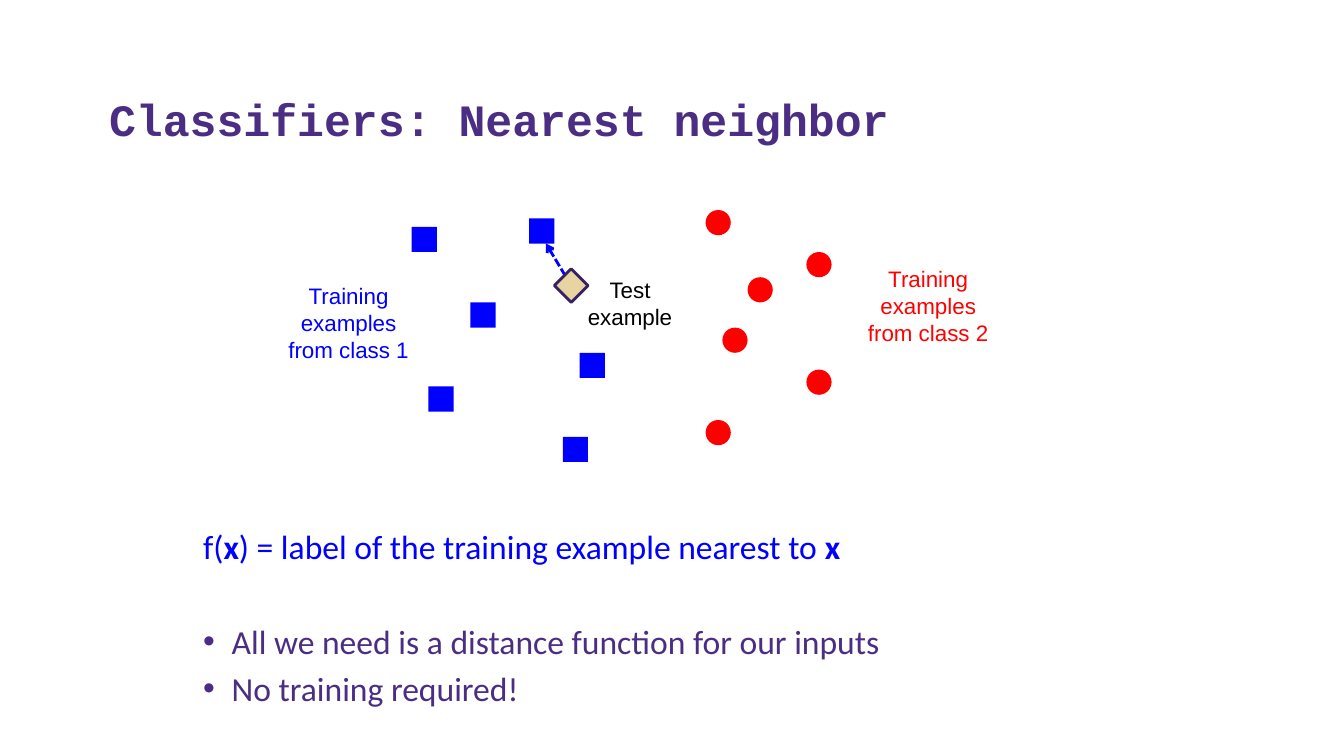
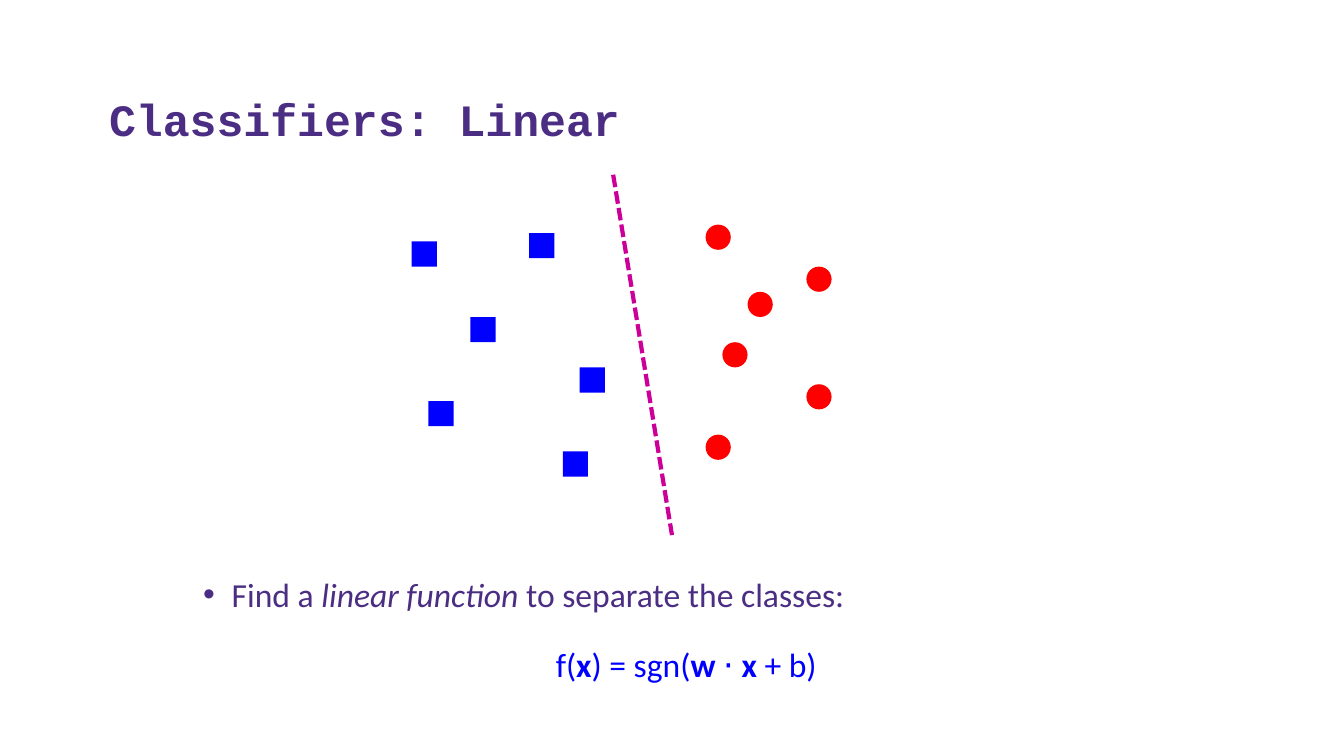
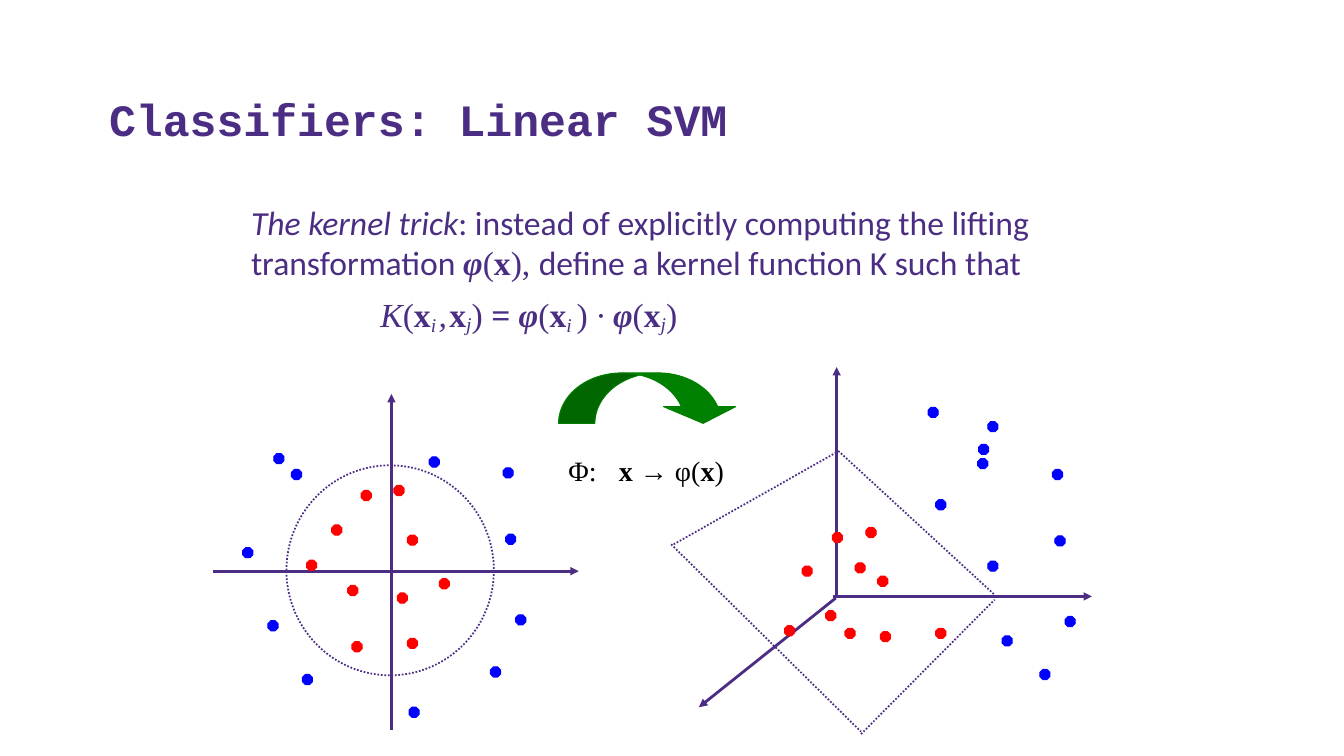
from lxml import etree
from pptx import Presentation
from pptx.dml.color import RGBColor
from pptx.enum.dml import MSO_LINE
from pptx.enum.shapes import MSO_CONNECTOR, MSO_SHAPE
from pptx.enum.text import MSO_ANCHOR, PP_ALIGN
from pptx.oxml.ns import qn
from pptx.util import Inches, Pt

CELL = Inches(1) / 12
COLUMNS, ROWS = 160, 90
PURPLE, BLUE, RED, BLACK = "4B2E83", "0000FF", "FF0000", "000000"
GREEN, MAGENTA, SAND, DARK_PURPLE = "008000", "CC0099", "E8D3A2", "372261"
MONO, BODY, SANS, SERIF = "Courier New", "Calibri", "Arial", "Times New Roman"
TOP, BOTTOM = MSO_ANCHOR.TOP, MSO_ANCHOR.BOTTOM
LEFT, CENTER = PP_ALIGN.LEFT, PP_ALIGN.CENTER
STRAIGHT = MSO_CONNECTOR.STRAIGHT
DASH, DOT = MSO_LINE.SQUARE_DOT, MSO_LINE.ROUND_DOT
SQUARE, CIRCLE, DIAMOND = MSO_SHAPE.RECTANGLE, MSO_SHAPE.OVAL, MSO_SHAPE.DIAMOND
OCTAGON, CURVED_ARROW = MSO_SHAPE.OCTAGON, MSO_SHAPE.CURVED_DOWN_ARROW
HANGING = 3.4
LIST_GAP = 4.8

CLASS_1 = [(49, 27), (56, 36), (63, 26), (51, 46), (69, 42), (67, 52)]
CLASS_2 = [(96, 30), (86, 39), (96, 44), (84, 25), (89, 33), (84, 50)]
PLANE_INNER = [(46.9, 57.8), (39.5, 62.5), (41.4, 69.7), (48.5, 76), (43, 58.4),
               (36.5, 66.7), (41.9, 76.4), (48.5, 63.7), (52.3, 68.9), (47.3, 70.6)]
PLANE_OUTER = [(60.2, 63.6), (58.4, 79.4), (28.9, 65.2), (48.7, 84.2), (61.4, 73.2),
               (36, 80.3), (31.9, 73.9), (32.6, 54), (51.1, 54.4), (34.7, 55.9),
               (59.9, 55.7)]
LIFTED_INNER = [(103.1, 62.8), (95.5, 67.4), (100.6, 74.8), (111.4, 74.8), (99.1, 63.4),
                (101.8, 67), (104.8, 75.2), (104.5, 68.6), (98.3, 72.7), (93.4, 74.5)]
LIFTED_OUTER = [(125.6, 63.8), (123.8, 79.7), (117.6, 50.2), (117.6, 66.8), (126.8, 73.4),
                (111.4, 59.5), (119.3, 75.7), (116.5, 52.9), (116.4, 54.6), (110.5, 48.5),
                (125.3, 55.9)]
AXES = [((46.6, 86.9), (46.6, 46.9)), ((25.3, 68), (68.9, 68)),
        ((99.6, 70.8), (99.6, 43.7)), ((99.2, 71), (130, 71)),
        ((99.5, 71.2), (83.2, 84.2))]
PLANE_EDGES = [((99.5, 53.4), (118.4, 70.8)), ((102.5, 87.4), (118.4, 71.4)),
               ((80.2, 64.8), (99.5, 53.9)), ((79.9, 64.8), (102.5, 87.1))]


def cells(*counts):
    """Turn grid cells into lengths."""
    return [round(count * CELL) for count in counts]


def color(value):
    """Turn a hex string into a colour."""
    return RGBColor.from_string(value)


def add_run(paragraph, text, style="", size=24, font=BODY, ink=PURPLE, sub=0):
    """Add one run; style holds b for bold and i for italic."""
    run = paragraph.add_run()
    run.text = text
    run.font.size, run.font.name = Pt(size), font
    run.font.bold, run.font.italic = "b" in style, "i" in style
    run.font.color.rgb = color(ink)
    if sub:
        run.font._element.set("baseline", str(-1000 * sub))


def add_text(slide, box, anchor=TOP):
    """Add an empty wrapping text box and return its frame."""
    frame = slide.shapes.add_textbox(*cells(*box)).text_frame
    frame.word_wrap, frame.vertical_anchor = True, anchor
    return frame


def add_line_of_text(frame, runs, before=0, align=LEFT, margin=0, bullet=False, tab=0,
                     **look):
    """Fill the first or next paragraph; runs are (text, style, own look)."""
    first = frame.paragraphs[0]
    paragraph = frame.add_paragraph() if first.runs else first
    props = paragraph._p.get_or_add_pPr()
    props.set("marL", str(cells(margin)[0]))
    props.set("indent", str(cells(-margin if bullet else 0)[0]))
    if bullet:
        etree.SubElement(props, qn("a:buFont"), typeface=SANS)
        etree.SubElement(props, qn("a:buChar"), char="•")
    if tab:
        stops = etree.SubElement(props, qn("a:tabLst"))
        etree.SubElement(stops, qn("a:tab"), pos=str(cells(tab)[0]), algn="l")
    paragraph.alignment = align
    if before:
        paragraph.space_before = Pt(before)
    for text, style, *own in runs:
        add_run(paragraph, text, style, **{**look, **(own[0] if own else {})})


def add_mark(slide, kind, box, fill=None, outline=None, weight=0.75, dash=None):
    """Add a preset shape with an optional fill and outline."""
    mark = slide.shapes.add_shape(kind, *cells(*box))
    mark.shadow.inherit = False
    if fill:
        mark.fill.solid()
        mark.fill.fore_color.rgb = color(fill)
    else:
        mark.fill.background()
    if outline:
        mark.line.color.rgb = color(outline)
        mark.line.width = Pt(weight)
        mark.line.dash_style = dash
    else:
        mark.line.fill.background()
    return mark


def add_scatter(slide, kind, points, side, ink, drop=0, outline=None):
    """Add one equal mark at each point."""
    for x, y in points:
        add_mark(slide, kind, (x, y + drop, side, side), ink, outline)


def add_rule(slide, start, end, ink, weight, dash=None, arrow=None):
    """Add a straight line with an optional arrowhead at its end."""
    rule = slide.shapes.add_connector(STRAIGHT, *cells(*start, *end))
    rule.line.color.rgb = color(ink)
    rule.line.width = Pt(weight)
    rule.line.dash_style = dash
    if arrow:
        etree.SubElement(rule.line._get_or_add_ln(), qn("a:tailEnd"), type=arrow)
    etree.SubElement(rule._element.spPr, qn("a:effectLst"))


def add_titled_slide(deck, title):
    """Add a blank slide with the shared title."""
    slide = deck.slides.add_slide(deck.slide_layouts[6])
    frame = add_text(slide, (11.8, 4.9, 143.2, 13), BOTTOM)
    add_line_of_text(frame, [(title, "b")], size=32, font=MONO)
    return slide


def add_classes(slide, drop=0):
    """Add the training examples of both classes."""
    add_scatter(slide, SQUARE, CLASS_1, 3, BLUE, drop)
    add_scatter(slide, CIRCLE, CLASS_2, 3, RED, drop)


def build_nearest_neighbor(deck):
    """Build the nearest neighbor slide."""
    slide = add_titled_slide(deck, "Classifiers: Nearest neighbor")
    rule = add_text(slide, (23, 62, 114, 17.4))
    add_line_of_text(rule, [("f(", ""), ("x", "b"),
                            (") = label of the training example nearest to ", ""),
                            ("x", "b")], ink=BLUE)
    add_line_of_text(rule, [("All we need is a distance function for our inputs", "")],
                     before=38.9, margin=HANGING, bullet=True)
    add_line_of_text(rule, [("No training required!", "")],
                     before=LIST_GAP, margin=HANGING, bullet=True)
    add_classes(slide)
    for label, box, ink in [("Test example", (68, 32.3, 14, 7.7), BLACK),
                            ("Training examples from class 1", (33, 33, 17, 10.9), BLUE),
                            ("Training examples from class 2", (102, 31, 17, 10.9), RED)]:
        add_line_of_text(add_text(slide, box), [(label, "")], align=CENTER,
                         size=16, font=SANS, ink=ink)
    add_rule(slide, (68, 34), (65, 29), BLUE, 2, DASH, "arrow")
    add_mark(slide, DIAMOND, (66, 32, 4, 4), SAND, DARK_PURPLE, 2)


def build_linear(deck):
    """Build the linear classifier slide."""
    slide = add_titled_slide(deck, "Classifiers: Linear")
    goal = add_text(slide, (23, 67.7, 114, 17.4))
    add_line_of_text(goal, [("Find a ", ""), ("linear function ", "i"),
                            ("to separate the classes:", "")],
                     margin=HANGING, bullet=True)
    add_line_of_text(goal, [("f(", ""), ("x", "b"), (") = sgn(", ""), ("w ", "b"),
                            ("⋅ ", ""), ("x ", "b"), ("+ b)", "")],
                     before=21.5, align=CENTER, margin=HANGING, ink=BLUE)
    add_classes(slide, drop=1.74)
    add_rule(slide, (73, 20.8), (80, 63.7), MAGENTA, 3, DASH)


def build_kernel_trick(deck):
    """Build the linear SVM slide."""
    slide = add_titled_slide(deck, "Classifiers: Linear SVM")
    for start, end in AXES:
        add_rule(slide, start, end, PURPLE, 2, arrow="triangle")
    add_mark(slide, CIRCLE, (34.1, 55.4, 24.7, 25), None, PURPLE, 1.25, DOT)
    for points, ink in [(PLANE_INNER + LIFTED_INNER, RED),
                        (PLANE_OUTER + LIFTED_OUTER, BLUE)]:
        add_scatter(slide, OCTAGON, points, 1.2, ink, outline=ink)
    for start, end in PLANE_EDGES:
        add_rule(slide, start, end, PURPLE, 1.25, DOT)
    lift = add_mark(slide, CURVED_ARROW, (66.5, 44.4, 21.5, 6), GREEN, GREEN)
    for index, share in enumerate((0.72, 1.43, 0.33)):
        lift.adjustments[index] = share
    mapping = add_text(slide, (66.5, 53.4, 25, 5.2))
    add_line_of_text(mapping, [("Φ:\t", ""), ("x → ", "b"), ("φ(", ""), ("x", "b"),
                               (")", "")], tab=5, size=20, font=SERIF, ink=BLACK)
    trick = add_text(slide, (28.7, 23.4, 106, 66.6))
    serif, sub_i, sub_j, thin = {"font": SERIF}, {"sub": 14}, {"sub": 12}, {"size": 7}
    add_line_of_text(trick, [
        ("The kernel trick", "i"),
        (": instead of explicitly computing the lifting transformation ", ""),
        ("φ", "bi", serif), ("(", "", serif), ("x", "b", serif), ("), ", "", serif),
        ("define a kernel function K such that", "")])
    add_line_of_text(trick, [
        ("K", "i"), ("(", ""), ("x", "b"), ("i", "i", sub_i), (" ", "i", thin),
        (",", "i"), (" ", "i", thin), ("x", "b"), ("j", "i", sub_j), (")", ""),
        (" = φ", "bi"), ("(", ""), ("x", "b"), ("i ", "i", sub_i), (") ", ""),
        ("· ", "i"), ("φ", "bi"), ("(", ""), ("x", "b"), ("j", "i", sub_j), (")", "")],
        before=8.6, margin=15.4, font=SERIF)


def main():
    """Build and save the deck."""
    deck = Presentation()
    deck.slide_width, deck.slide_height = cells(COLUMNS, ROWS)
    build_nearest_neighbor(deck)
    build_linear(deck)
    build_kernel_trick(deck)
    deck.save("out.pptx")


if __name__ == "__main__":
    main()
